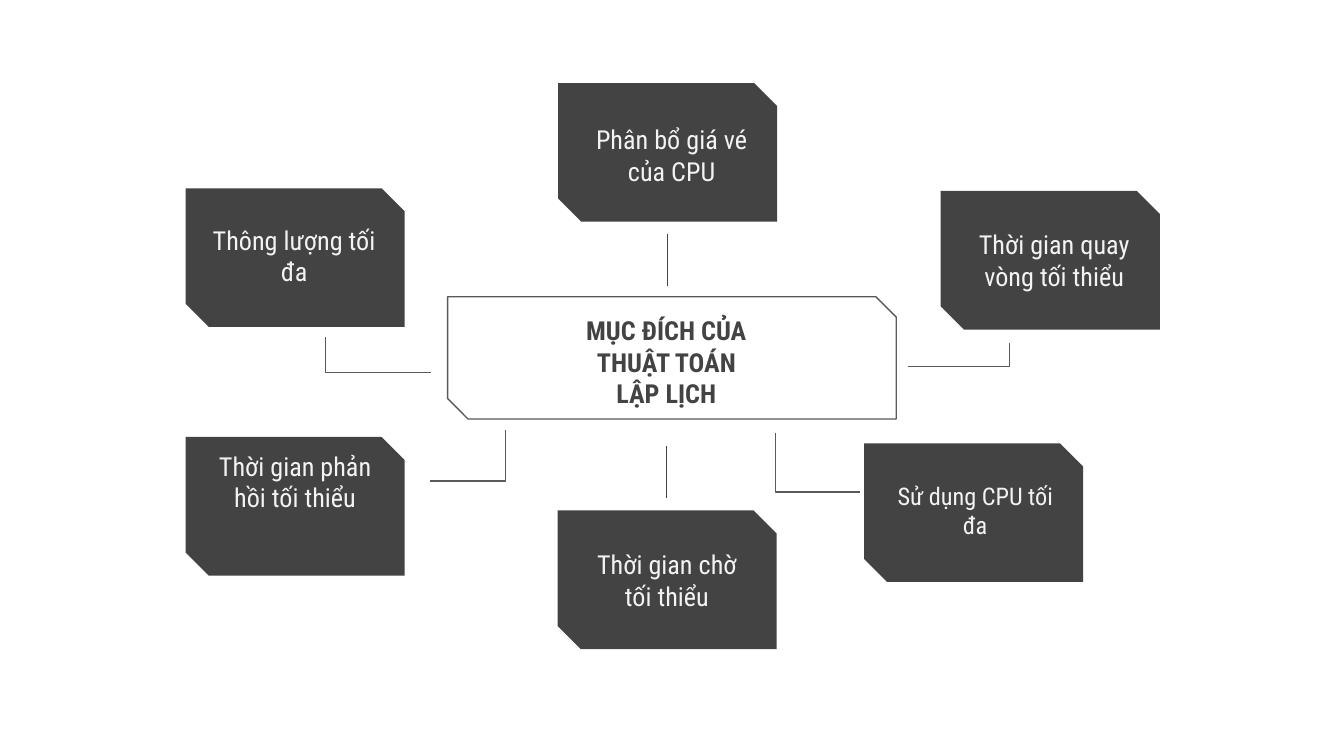
from lxml.etree import SubElement
from pptx import Presentation
from pptx.dml.color import RGBColor
from pptx.enum.shapes import MSO_CONNECTOR as Connector, MSO_SHAPE as Shape
from pptx.enum.text import MSO_ANCHOR as Anchor, PP_ALIGN as Align
from pptx.oxml.ns import qn
from pptx.util import Cm, Pt

DARK, GREY, LIGHT = "434343", "595959", "F3F3F3"
BOX_WIDTH, BOX_HEIGHT = 4.14, 2.62


def color(value):
    return RGBColor.from_string(value)


def add_text(text, left, top, width, height=1.45, size=14, font_color=LIGHT,
             bold=False, anchor=Anchor.TOP, margin=0.13):
    textbox = slide.shapes.add_textbox(Cm(left), Cm(top), Cm(width), Cm(height))
    frame = textbox.text_frame
    frame.word_wrap = True
    frame.vertical_anchor = anchor
    frame.margin_left = frame.margin_right = Cm(0.25)
    frame.margin_top = frame.margin_bottom = Cm(margin)
    paragraph = frame.paragraphs[0]
    paragraph.alignment = Align.CENTER
    run = paragraph.add_run()
    run.text = text
    run.font.name = "Roboto Condensed"
    run.font.size = Pt(size)
    run.font.bold = bold
    run.font.color.rgb = color(font_color)


presentation = Presentation()
presentation.slide_width = Cm(25.4)
presentation.slide_height = Cm(14.29)
slide = presentation.slides.add_slide(presentation.slide_layouts[6])

center = slide.shapes.add_shape(
    Shape.SNIP_2_DIAG_RECTANGLE, Cm(8.46), Cm(5.61), Cm(8.48), Cm(2.31))
center.shadow.inherit = False
center.fill.background()
center.line.color.rgb = color(GREY)
center.line.width = Pt(0.75)
add_text("MỤC ĐÍCH CỦA THUẬT TOÁN LẬP LỊCH", 10.59, 5.92, 4.01, height=2.06,
         font_color=DARK, bold=True, anchor=Anchor.BOTTOM, margin=0.25)

goals = [
    ("Phân bổ giá vé của CPU", 10.55, 1.57, (10.69, 2.21, 4.01), {}),
    ("Thời gian quay vòng tối thiểu", 17.78, 3.61, (17.93, 4.19, 3.99), {}),
    ("Sử dụng CPU tối đa", 16.33, 8.38, (16.64, 8.84, 3.58),
     {"height": 1.73, "size": 13, "margin": 0.25}),
    ("Thời gian chờ tối thiểu", 10.54, 9.65, (10.8, 10.24, 3.61), {}),
    ("Thời gian phản hồi tối thiểu", 3.51, 8.26, (3.84, 8.38, 3.48), {}),
    ("Thông lượng tối đa", 3.51, 3.56, (3.73, 4.11, 3.66), {}),
]
for text, left, top, text_place, text_format in goals:
    box = slide.shapes.add_shape(
        Shape.SNIP_2_DIAG_RECTANGLE, Cm(left), Cm(top), Cm(BOX_WIDTH), Cm(BOX_HEIGHT))
    box.shadow.inherit = False
    box.fill.solid()
    box.fill.fore_color.rgb = color(DARK)
    box.line.fill.background()
    add_text(text, *text_place, **text_format)

links = [
    (12.62, 4.42, 12.62, 5.41, DARK, None),
    (12.6, 8.43, 12.6, 9.42, DARK, None),
    (9.55, 8.13, 8.13, 9.09, GREY, 0),
    (17.17, 6.93, 19.08, 6.48, GREY, 100000),
    (14.66, 8.18, 16.26, 9.3, GREY, 0),
    (8.15, 7.04, 6.15, 6.38, GREY, 100000),
]
for begin_x, begin_y, end_x, end_y, line_color, bend in links:
    kind = Connector.STRAIGHT if bend is None else Connector.ELBOW
    link = slide.shapes.add_connector(
        kind, Cm(begin_x), Cm(begin_y), Cm(end_x), Cm(end_y))
    link.line.color.rgb = color(line_color)
    link.line.width = Pt(0.75)
    properties = link._element.spPr
    SubElement(properties, qn("a:effectLst"))
    if bend is not None:
        adjustments = properties.find(qn("a:prstGeom")).find(qn("a:avLst"))
        SubElement(adjustments, qn("a:gd"), name="adj1", fmla=f"val {bend}")

presentation.save("out.pptx")
